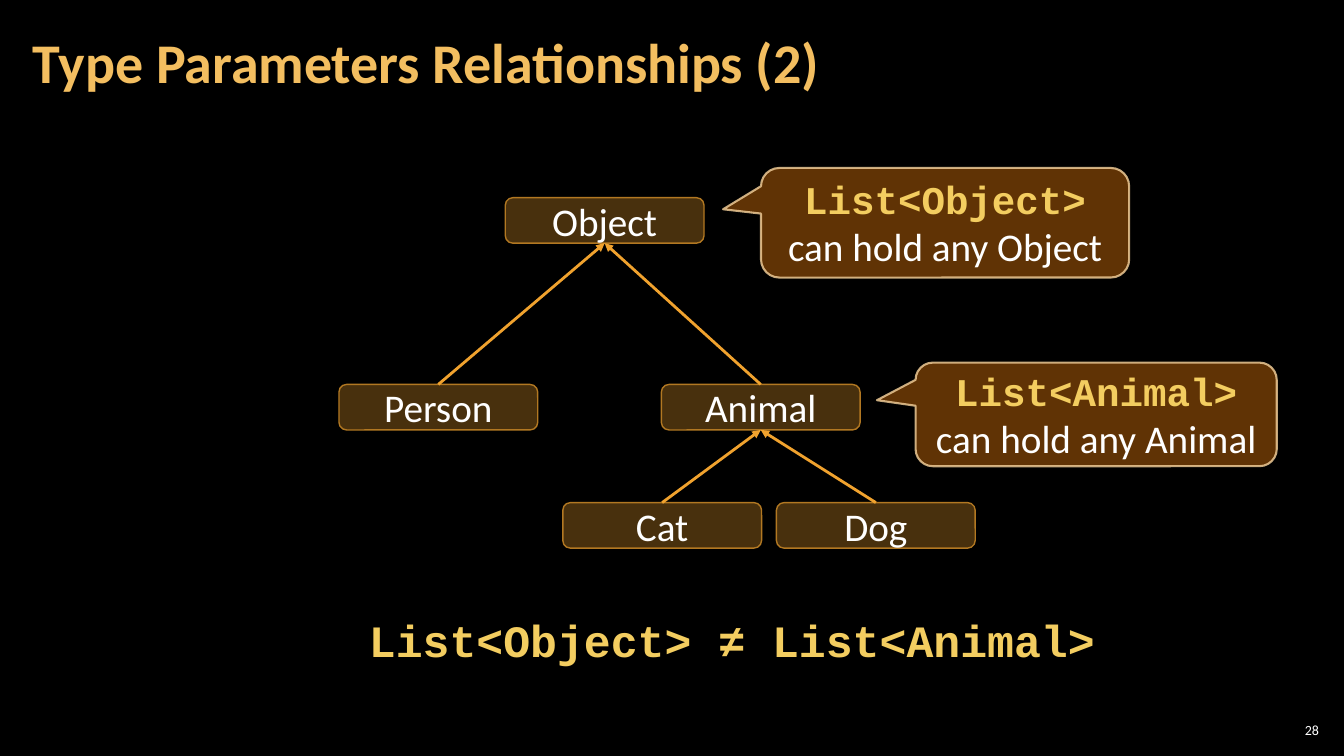
import pptx
import pptx.dml.color
import pptx.enum.shapes
import pptx.enum.text
import pptx.oxml.ns
import pptx.util
from lxml import etree

Pt = pptx.util.Pt
RGB = pptx.dml.color.RGBColor
SHAPE = pptx.enum.shapes.MSO_SHAPE
ALIGN = pptx.enum.text.PP_ALIGN
ANCHOR = pptx.enum.text.MSO_ANCHOR
qn = pptx.oxml.ns.qn

BLACK = RGB(0x00, 0x00, 0x00)
WHITE = RGB(0xFF, 0xFF, 0xFF)
GOLD = RGB(0xF3, 0xBE, 0x60)
YELLOW = RGB(0xF3, 0xCD, 0x60)
ORANGE = RGB(0xF0, 0xA2, 0x2E)
AMBER = RGB(0xB2, 0x78, 0x22)
BROWN = RGB(0x66, 0x36, 0x06)
CREAM = RGB(0xF8, 0xD4, 0x9E)

# Content: lengths in points
TITLE = "Type Parameters Relationships (2)"
CLAIM = "List<Object> ≠ List<Animal>"
NUMBER = "28"
BOX_W, BOX_H = 142, 32.5
TYPES = {  # name: (left, top, parent)
    "Object": (360.9, 141.2, None),
    "Person": (242.1, 274.6, "Object"),
    "Animal": (472.4, 274.6, "Object"),
    "Cat": (402, 359, "Animal"),
    "Dog": (554.6, 359, "Animal"),
}
NOTES = [  # type, left, top, width, height, callout tip
    ("Object", 543.6, 120, 263, 78.3, (-0.603, -0.123)),
    ("Animal", 654, 259, 258, 74, (-0.607, -0.137)),
]

BODY = dict(name="Calibri", size=Pt(28), bold=False, color=WHITE)
CODE = dict(name="Courier New", size=Pt(28), bold=True, color=YELLOW)


def style(font, look):
    for key, value in look.items():
        if key == "color":
            font.color.rgb = value
        else:
            setattr(font, key, value)


def write(shape, runs, align, anchor=ANCHOR.MIDDLE, pads=(7.2, 3.6), **para):
    """Fill a shape with one paragraph of (text, look) runs."""
    frame = shape.text_frame
    side, edge = map(Pt, pads)
    opts = dict(word_wrap=True, auto_size=pptx.enum.text.MSO_AUTO_SIZE.NONE,
                vertical_anchor=anchor, margin_left=side, margin_right=side,
                margin_top=edge, margin_bottom=edge)
    for key, value in opts.items():
        setattr(frame, key, value)
    line = frame.paragraphs[0]
    for key, value in dict(para, alignment=align).items():
        setattr(line, key, value)
    for text, look in runs:
        run = line.add_run()
        run.text = text
        style(run.font, look)


def fade(props, percent):
    """Set the opacity of the solid colour directly inside props."""
    color = props.find(qn("a:solidFill"))[0]
    etree.SubElement(color, qn("a:alpha")).set("val", str(percent * 1000))


def panel(kind, place, fill, edge, width, alpha):
    shape = slide.shapes.add_shape(kind, *map(Pt, place))
    shape.shadow.inherit = False
    shape.fill.solid()
    shape.fill.fore_color.rgb = fill
    shape.line.color.rgb = edge
    shape.line.width = Pt(width)
    fade(shape._element.spPr, alpha)
    return shape


def arrow(child, parent):
    link = slide.shapes.add_connector(
        pptx.enum.shapes.MSO_CONNECTOR.STRAIGHT, 0, 0, 0, 0)
    link.begin_connect(child, 0)
    link.end_connect(parent, 2)
    link.line.color.rgb = ORANGE
    link.line.width = Pt(2)
    head = etree.SubElement(link.line._get_or_add_ln(), qn("a:tailEnd"))
    head.set("type", "triangle")
    etree.SubElement(link._element.spPr, qn("a:effectLst"))


deck = pptx.Presentation()
deck.slide_width, deck.slide_height = Pt(960), Pt(540)
slide = deck.slides.add_slide(deck.slide_layouts[5])
slide.background.fill.solid()
slide.background.fill.fore_color.rgb = BLACK

title = slide.shapes.title
title.left, title.top, title.width, title.height = map(Pt, (15, 3, 754, 87))
write(title, [(TITLE, dict(BODY, size=Pt(40), bold=True, color=GOLD))],
      ALIGN.LEFT, pads=(8.5, 2.8), line_spacing=0.9)

claim = slide.shapes.add_textbox(*map(Pt, (255, 432.7, 689, 60)))
write(claim, [(CLAIM, dict(CODE, size=Pt(32)))], ALIGN.LEFT, ANCHOR.TOP,
      (8.5, 2.8), line_spacing=1.05, space_before=Pt(6), space_after=Pt(6))

page = slide.shapes.add_textbox(*map(Pt, (911, 514, 34, 15)))
write(page, [(NUMBER, dict(BODY, size=Pt(10)))], ALIGN.RIGHT, pads=(2.8, 2.8))

boxes = {}
for name, (left, top, parent) in TYPES.items():
    box = panel(SHAPE.ROUNDED_RECTANGLE, (left, top, BOX_W, BOX_H),
                ORANGE, AMBER, 1, 30)
    write(box, [(name, BODY)], ALIGN.CENTER)
    boxes[name] = box
    if parent:
        arrow(box, boxes[parent])

for name, left, top, width, height, tip in NOTES:
    note = panel(SHAPE.ROUNDED_RECTANGULAR_CALLOUT, (left, top, width, height),
                 BROWN, CREAM, 1.5, 95)
    fade(note.line._get_or_add_ln(), 80)
    for i, value in enumerate((*tip, 0.167)):
        note.adjustments[i] = value
    write(note, [(f"List<{name}>", CODE), (f" can hold any {name}", BODY)],
          ALIGN.CENTER)

deck.save("out.pptx")
